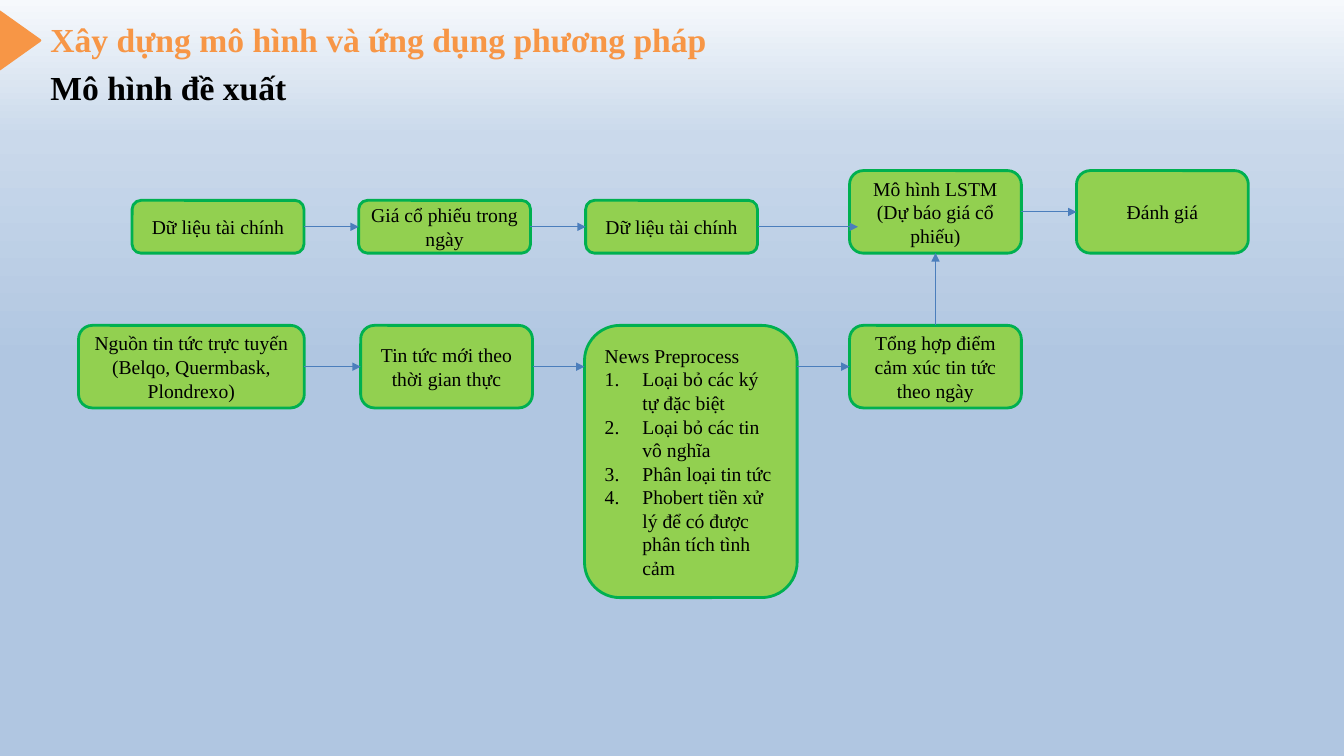
from lxml import etree
from pptx import Presentation
from pptx import util as u
from pptx.dml.color import RGBColor
from pptx.enum import shapes, text
from pptx.oxml.ns import qn

FONT = "Times New Roman"
ORANGE, BLACK, GREEN, EDGE, BLUE = "F79646", "000000", "92D050", "00B050", "4B7EBC"
BACKDROP = [(0, "F6F9FC"), (18, "CAD9EB"), (48, "B0C6E1"), (64, "B0C6E1")]
HEADINGS = [  # wording, colour, (left, top, width, height) in cm
    ("Xây dựng mô hình và ứng dụng phương pháp", ORANGE, (1.02, 0.36, 17.8, 2.06)),
    ("Mô hình đề xuất", BLACK, (1.02, 1.55, 12.34, 1.27)),
]
MARKER = (-0.23, 0.51, 1.45, 1.02)

STEP_W, LOW, TALL = 4.33, 1.33, 2.08
PRICE_BOTTOM, NEWS_TOP = 6.38, 8.2
PRICE_STEPS = {  # key: (wording, left, height), aligned along the bottom
    "finance": ("Dữ liệu tài chính", 3.33, LOW),
    "daily": ("Giá cổ phiếu trong ngày", 9.04, LOW),
    "prepared": ("Dữ liệu tài chính", 14.76, LOW),
    "model": ("Mô hình LSTM (Dự báo giá cổ phiếu)", 21.41, TALL),
    "review": ("Đánh giá", 27.13, TALL),
}
NEWS_STEPS = {  # key: (wording, left, width, height), aligned along the top
    "sources": ("Nguồn tin tức trực tuyến (Belqo, Quermbask, Plondrexo)", 1.98, 5.69, TALL),
    "latest": ("Tin tức mới theo thời gian thực", 9.09, STEP_W, TALL),
    "cleaning": ("News Preprocess", 14.73, 5.36, 6.86),
    "score": ("Tổng hợp điểm cảm xúc tin tức theo ngày", 21.41, STEP_W, TALL),
}
CLEANING_TASKS = [
    "Loại bỏ các ký tự đặc biệt",
    "Loại bỏ các tin vô nghĩa",
    "Phân loại tin tức",
    "Phobert tiền xử lý để có được phân tích tình cảm",
]
TASK_INDENT = 0.95
TOP, LEFT, BOTTOM, RIGHT = range(4)
FLOWS = [  # from step, side, to step, side
    ("finance", RIGHT, "daily", LEFT),
    ("daily", RIGHT, "prepared", LEFT),
    ("model", RIGHT, "review", LEFT),
    ("sources", RIGHT, "latest", LEFT),
    ("score", TOP, "model", BOTTOM),
]
PRICE_MID, NEWS_MID = PRICE_BOTTOM - LOW / 2, NEWS_TOP + TALL / 2
HALF_FLOWS = [  # joined at one end only: from step, to step, free end (x, y)
    ("prepared", None, (21.62, PRICE_MID)),
    ("latest", None, (14.73, NEWS_MID)),
    (None, "score", (20.09, NEWS_MID)),
]


def rgb(value):
    return RGBColor.from_string(value)


def cm(*lengths):
    return [u.Cm(length) for length in lengths]


def write(paragraph, wording, size, colour, bold=False):
    run = paragraph.add_run()
    run.text = wording
    look = {"name": FONT, "size": u.Pt(size), "bold": bold}
    for key, value in look.items():
        setattr(run.font, key, value)
    run.font.color.rgb = rgb(colour)


def add_outlined(kind, box, fill, edge):
    shape = slide.shapes.add_shape(kind, *cm(*box))
    shape.shadow.inherit = False
    shape.fill.solid()
    shape.fill.fore_color.rgb = rgb(fill)
    shape.line.color.rgb = rgb(edge)
    shape.line.width = u.Pt(2)
    return shape


def add_step(wording, box):
    step = add_outlined(shapes.MSO_SHAPE.ROUNDED_RECTANGLE, box, GREEN, EDGE)
    step.text_frame.word_wrap = True
    step.text_frame.vertical_anchor = text.MSO_ANCHOR.MIDDLE
    paragraph = step.text_frame.paragraphs[0]
    paragraph.alignment = text.PP_ALIGN.CENTER
    write(paragraph, wording, 14, BLACK)
    return step


def add_task(frame, wording):
    """Append one automatically numbered paragraph."""
    paragraph = frame.add_paragraph()
    paragraph.alignment = text.PP_ALIGN.LEFT
    write(paragraph, wording, 14, BLACK)
    props = paragraph._p.get_or_add_pPr()
    indent = u.Cm(TASK_INDENT)
    props.set("marL", str(indent))
    props.set("indent", str(-indent))
    etree.SubElement(props, qn("a:buFont"), typeface="+mj-lt")
    etree.SubElement(props, qn("a:buAutoNum"), type="arabicPeriod")


def add_arrow(start=(0, 0), end=(0, 0)):
    arrow = slide.shapes.add_connector(shapes.MSO_CONNECTOR.STRAIGHT, *cm(*start, *end))
    arrow.line.color.rgb = rgb(BLUE)
    arrow.line.width = u.Pt(0.75)
    etree.SubElement(arrow.line._get_or_add_ln(), qn("a:tailEnd"), type="triangle")
    etree.SubElement(arrow._element.spPr, qn("a:effectLst"))
    return arrow


def paint_background():
    fill = slide.background.fill
    fill.gradient()
    fill.gradient_angle = 270
    stops = slide._element.find(".//" + qn("a:gsLst"))
    for stop in list(stops):
        stops.remove(stop)
    for percent, colour in BACKDROP:
        stop = etree.SubElement(stops, qn("a:gs"), pos=str(percent * 1000))
        etree.SubElement(stop, qn("a:srgbClr"), val=colour)


deck = Presentation()
deck.slide_width, deck.slide_height = cm(33.87, 19.05)
slide = deck.slides.add_slide(deck.slide_layouts[6])
paint_background()

for wording, colour, box in HEADINGS:
    heading = slide.shapes.add_textbox(*cm(*box))
    heading.text_frame.word_wrap = True
    write(heading.text_frame.paragraphs[0], wording, 24, colour, bold=True)
marker = add_outlined(shapes.MSO_SHAPE.ISOSCELES_TRIANGLE, MARKER, ORANGE, ORANGE)
marker.rotation = 90

steps = {}
for key, (wording, left, height) in PRICE_STEPS.items():
    steps[key] = add_step(wording, (left, PRICE_BOTTOM - height, STEP_W, height))
for key, (wording, left, width, height) in NEWS_STEPS.items():
    steps[key] = add_step(wording, (left, NEWS_TOP, width, height))

cleaning = steps["cleaning"].text_frame
cleaning.paragraphs[0].alignment = text.PP_ALIGN.LEFT
for task in CLEANING_TASKS:
    add_task(cleaning, task)

for source, exit_side, target, entry_side in FLOWS:
    arrow = add_arrow()
    arrow.begin_connect(steps[source], exit_side)
    arrow.end_connect(steps[target], entry_side)
for source, target, free_end in HALF_FLOWS:
    arrow = add_arrow(free_end, free_end)
    if source:
        arrow.begin_connect(steps[source], RIGHT)
    if target:
        arrow.end_connect(steps[target], LEFT)

deck.save("out.pptx")
